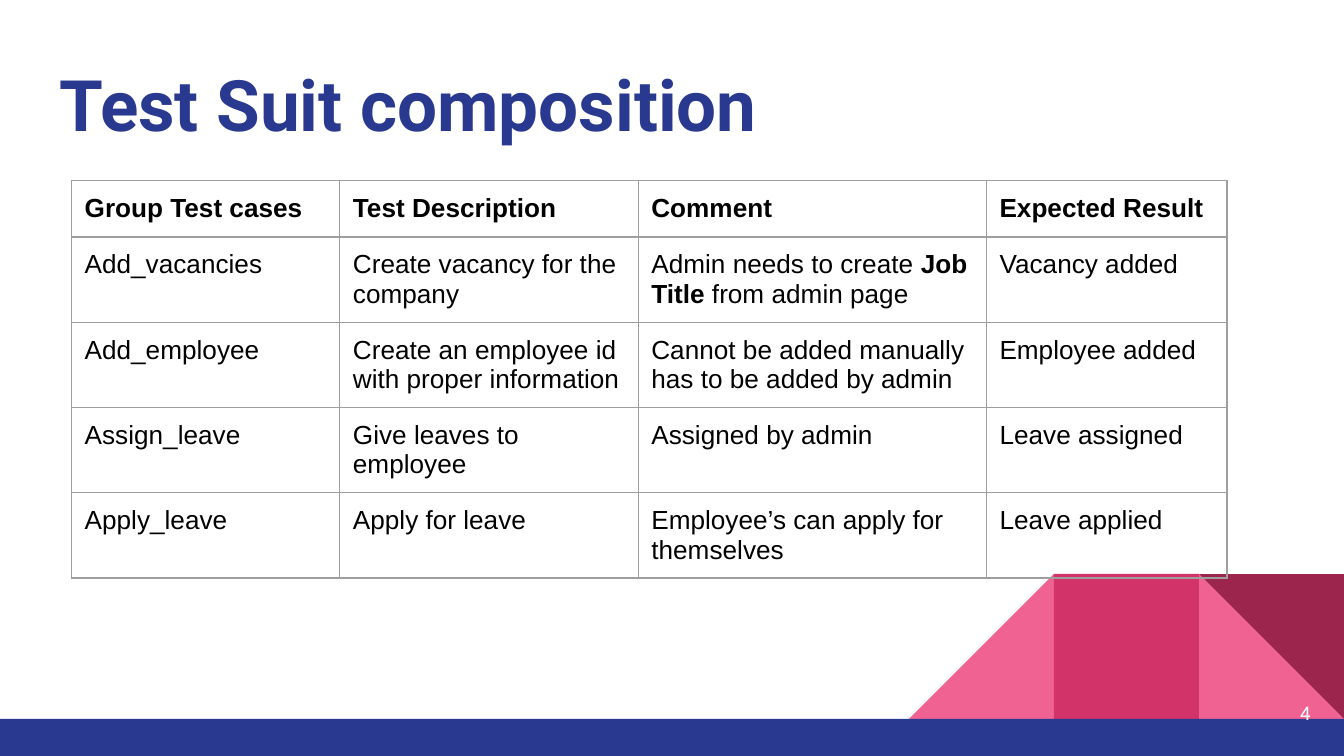
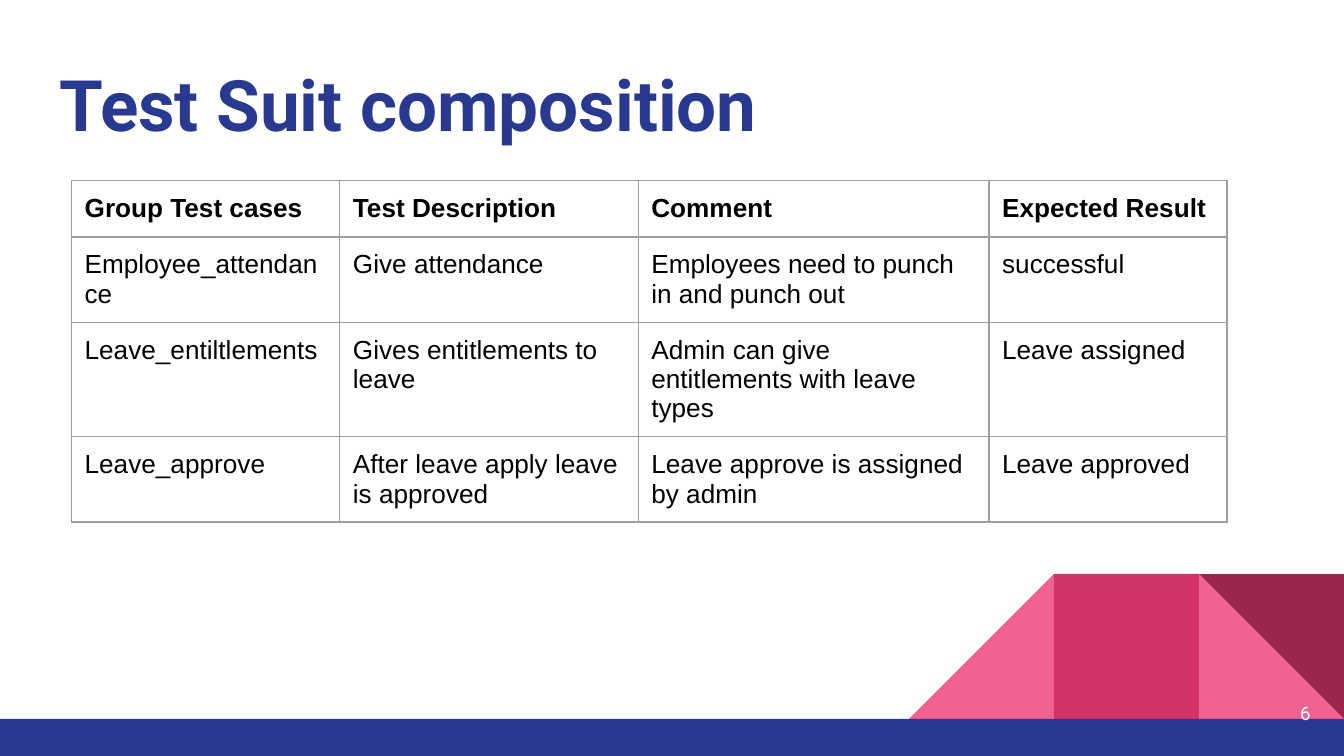
from lxml.etree import SubElement
from pptx import Presentation
from pptx.dml.color import RGBColor
from pptx.enum.shapes import MSO_SHAPE
from pptx.enum.text import MSO_ANCHOR, MSO_AUTO_SIZE, PP_ALIGN
from pptx.oxml.ns import qn
from pptx.util import Cm, Pt

HUES = {
    "navy": "2A3990",
    "pink": "F06292",
    "rose": "D23369",
    "wine": "9C254D",
    "grey": "9E9E9E",
    "black": "000000",
    "white": "FFFFFF",
}
WIDE, HIGH = 25.4, 14.29
BAND = 0.7     # height of the bottom band
SIDE = 2.74    # side of each decoration tile
INSET = 0.25
ROW = 1.07

TITLE = "Test Suit composition"
HEAD = ["Group Test cases", "Test Description", "Comment", "Expected Result"]

# A cell is a string, or a list of (text, bold) runs
SLIDES = [
    {
        "page": "4",
        "cols": [5.07, 5.64, 6.58, 4.55],
        "rows": [
            ["Add_vacancies", "Create vacancy for the company",
             [("Admin needs to create ", False), ("Job Title", True),
              (" from admin page", False)],
             "Vacancy added"],
            ["Add_employee", "Create an employee id with proper information",
             "Cannot be added manually has to be added by admin",
             "Employee added"],
            ["Assign_leave", "Give leaves to employee",
             "Assigned by admin", "Leave assigned"],
            ["Apply_leave", "Apply for leave",
             "Employee’s can apply for themselves", "Leave applied"],
        ],
    },
    {
        "page": "6",
        "cols": [5.07, 5.64, 6.63, 4.5],
        "rows": [
            ["Employee_attendance", "Give attendance",
             "Employees need to punch in and punch out", "successful"],
            ["Leave_entiltlements", "Gives entitlements to leave",
             "Admin can give entitlements with leave types",
             "Leave assigned"],
            ["Leave_approve", "After leave apply leave is approved",
             "Leave approve is assigned by admin", "Leave approved"],
        ],
    },
]


def paint(name):
    return RGBColor.from_string(HUES[name])


def add_run(para, text, font, size, hue, bold=False):
    run = para.add_run()
    run.text = text
    run.font.name = font
    run.font.size = Pt(size)
    run.font.bold = bold
    run.font.color.rgb = paint(hue)


def pad(part):
    """Give a text frame or a table cell the shared inner margins."""
    part.margin_left = part.margin_right = Cm(INSET)
    part.margin_top = part.margin_bottom = Cm(INSET)


def add_tile(slide, kind, box, hue):
    tile = slide.shapes.add_shape(kind, *map(Cm, box))
    tile.shadow.inherit = False
    tile.fill.solid()
    tile.fill.fore_color.rgb = paint(hue)
    tile.line.fill.background()
    return tile


def add_decor(slide, box):
    """Tiles at the right, standing on a band along the bottom of the box."""
    left, top, wide, high = box
    floor = top + high - BAND
    right = left + wide

    def place(back):
        return right - back * SIDE, floor - SIDE, SIDE, SIDE

    tri = MSO_SHAPE.RIGHT_TRIANGLE
    add_tile(slide, tri, place(1), "pink")
    slope = add_tile(slide, tri, place(3), "pink")
    slope.element.spPr.find(qn("a:xfrm")).set("flipH", "1")
    add_tile(slide, MSO_SHAPE.RECTANGLE, place(2), "rose")
    add_tile(slide, tri, place(1), "wine").rotation = 180
    add_tile(slide, MSO_SHAPE.RECTANGLE, (left, floor, wide, BAND), "navy")


def add_title(slide, box):
    title = slide.shapes.title
    title.left, title.top, title.width, title.height = map(Cm, box)
    frame = title.text_frame
    frame.auto_size = MSO_AUTO_SIZE.NONE
    frame.vertical_anchor = MSO_ANCHOR.TOP
    pad(frame)
    para = frame.paragraphs[0]
    para.alignment = PP_ALIGN.LEFT
    add_run(para, TITLE, "Roboto", 38, "navy", True)


def add_edges(cell):
    props = cell._tc.get_or_add_tcPr()
    for side in ("a:lnL", "a:lnR", "a:lnT", "a:lnB"):
        line = SubElement(props, qn(side), w=str(Pt(0.75)))
        fill = SubElement(line, qn("a:solidFill"))
        SubElement(fill, qn("a:srgbClr"), val=HUES["grey"])


def add_grid(slide, spot, cols, rows):
    left, top = spot
    rows = [[[(text, True)] for text in HEAD]] + rows
    box = (left, top, sum(cols), ROW * len(rows))
    table = slide.shapes.add_table(len(rows), len(cols), *map(Cm, box)).table
    table.first_row = table.horz_banding = False
    for col, wide in zip(table.columns, cols):
        col.width = Cm(wide)
    for row, items in zip(table.rows, rows):
        row.height = Cm(ROW)
        for cell, item in zip(row.cells, items):
            pad(cell)
            add_edges(cell)
            cell.fill.background()
            runs = [(item, False)] if isinstance(item, str) else item
            for text, bold in runs:
                add_run(cell.text_frame.paragraphs[0], text, "Arial", 14,
                        "black", bold)


def add_page(slide, box, page):
    frame = slide.shapes.add_textbox(*map(Cm, box)).text_frame
    frame.word_wrap = True
    frame.vertical_anchor = MSO_ANCHOR.MIDDLE
    pad(frame)
    para = frame.paragraphs[0]
    para.alignment = PP_ALIGN.RIGHT
    add_run(para, page, "Roboto", 10, "white")


def add_slide(deck, data):
    slide = deck.slides.add_slide(deck.slide_layouts[5])  # title only
    slide.background.fill.solid()
    slide.background.fill.fore_color.rgb = paint("white")
    add_decor(slide, (0, 0, WIDE, HIGH))
    add_title(slide, (0.87, 0.9, 23.67, 2.23))
    add_grid(slide, (1.35, 3.41), data["cols"], data["rows"])
    add_page(slide, (23.5, 12.93, 1.52, 1.09), data["page"])


def main():
    deck = Presentation()
    deck.slide_width, deck.slide_height = Cm(WIDE), Cm(HIGH)
    for data in SLIDES:
        add_slide(deck, data)
    deck.save("out.pptx")


if __name__ == "__main__":
    main()
